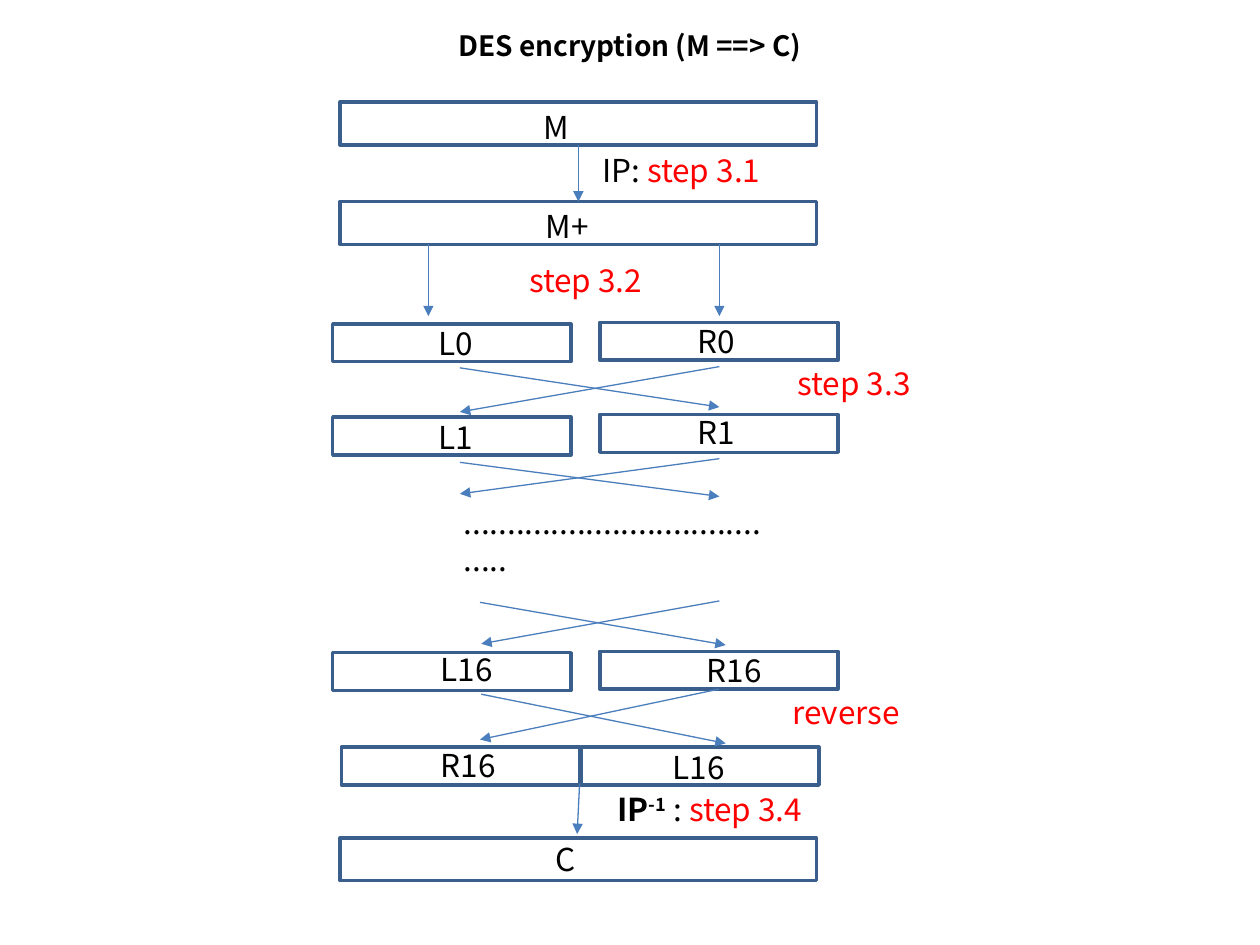
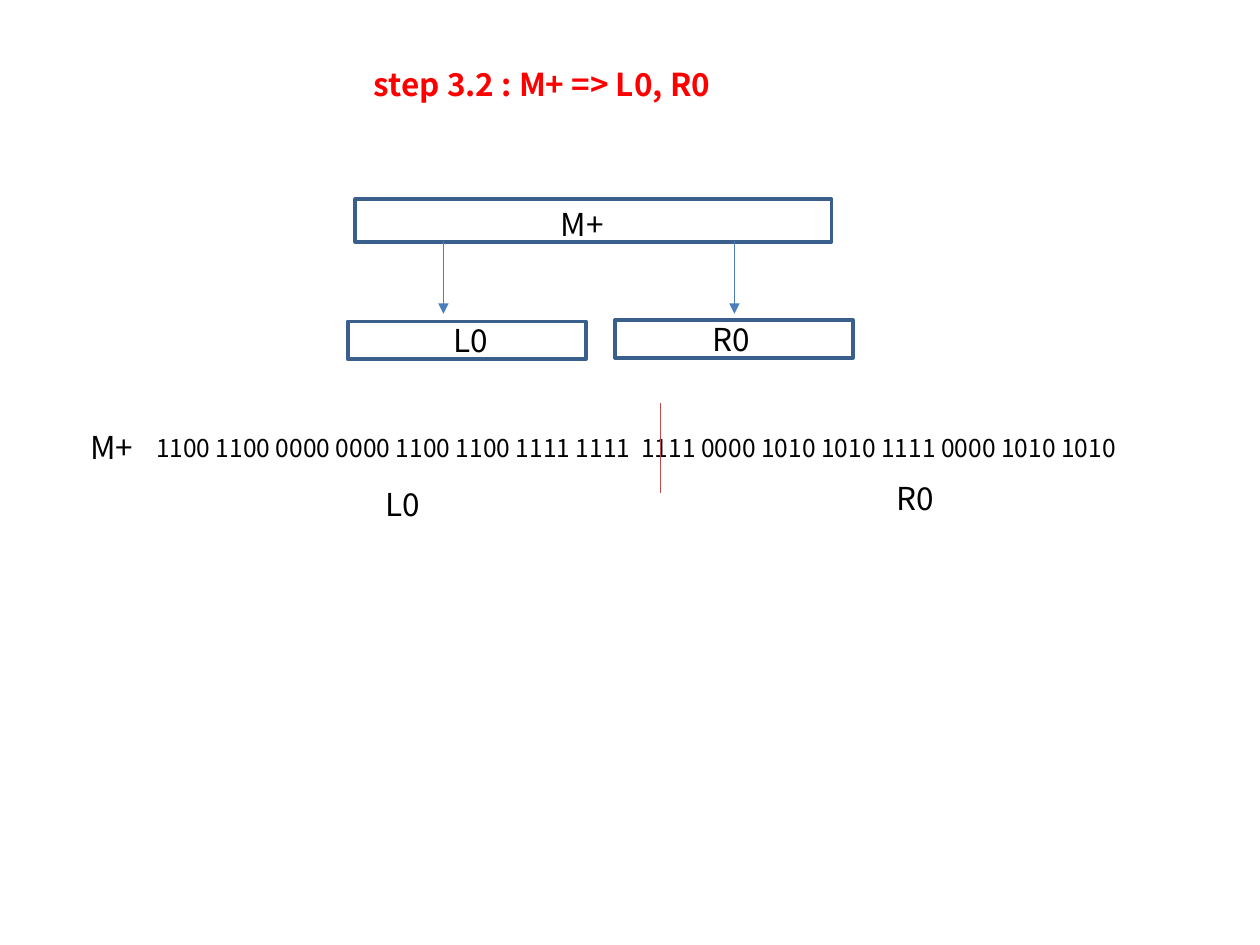
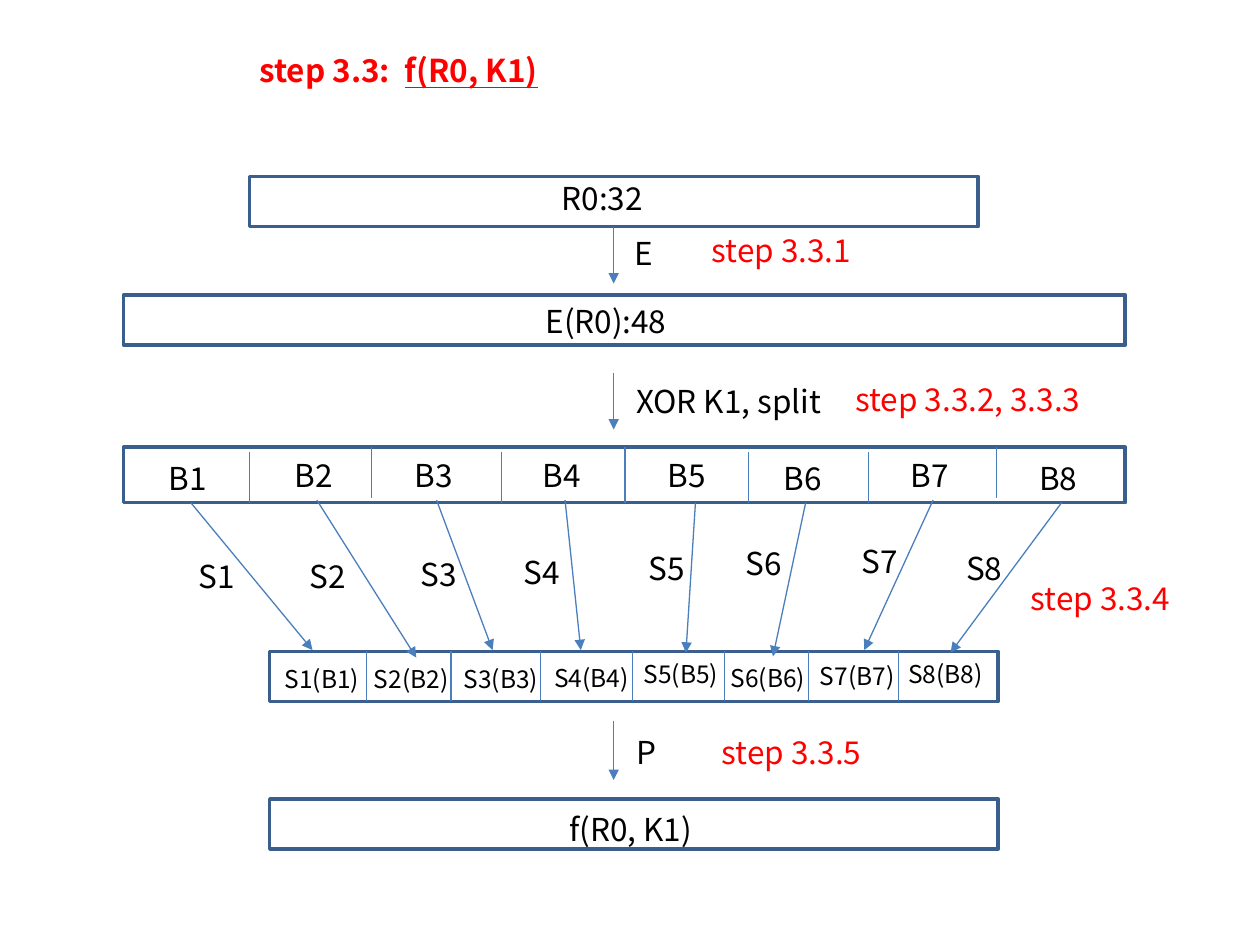
"""Build three slides that explain DES encryption."""
from lxml.etree import SubElement
from pptx import Presentation
from pptx.dml.color import RGBColor
from pptx.enum.shapes import MSO_CONNECTOR, MSO_SHAPE
from pptx.enum.text import MSO_ANCHOR, PP_ALIGN
from pptx.oxml.ns import qn
from pptx.util import Pt

COLORS = {"text": "000000", "step": "FF0000", "border": "3A5F8C",
          "arrow": "4B7EBC", "cut": "BF4C48"}
FONT = "Noto Sans CJK KR"
LABEL_HEIGHT = 28.8
SMALL_HEIGHT = 24.5
WIDE = (272.2, 24.5)
HALF = (136.1, 21.6)
BOTTOM, TOP = 2, 0
STEP = {"color": "step"}
HEADING = {"color": "step", "bold": True}


def color_of(name):
    """Return the named colour."""
    return RGBColor.from_string(COLORS[name])


def add_span(para, text, size, color="text", bold=False, underline=False, baseline=0):
    """Add one formatted run to a paragraph."""
    span = para.add_run()
    span.text = text
    span.font.name = FONT
    span.font.size = Pt(size)
    span.font.bold = bold
    span.font.color.rgb = color_of(color)
    if underline:
        span.font.underline = True
    if baseline:
        span.font._element.set("baseline", str(baseline * 1000))


def add_label(page, left, top, width, *spans, size=18, height=LABEL_HEIGHT):
    """Add a text box; each span is a string or a pair of text and format."""
    label = page.shapes.add_textbox(Pt(left), Pt(top), Pt(width), Pt(height))
    label.text_frame.word_wrap = True
    para = label.text_frame.paragraphs[0]
    for span in spans:
        text, style = (span, {}) if isinstance(span, str) else span
        add_span(para, text, size, **style)
    return label


def add_box(page, left, top, width, height):
    """Add an outlined rectangle without fill."""
    box = page.shapes.add_shape(MSO_SHAPE.RECTANGLE, Pt(left), Pt(top), Pt(width), Pt(height))
    box.shadow.inherit = False
    box.fill.background()
    box.line.color.rgb = color_of("border")
    box.line.width = Pt(2)
    return box


def add_line(page, start, end, color="arrow", arrow=False):
    """Add a straight line, with an arrowhead at its end on request."""
    line = page.shapes.add_connector(MSO_CONNECTOR.STRAIGHT, *map(Pt, start + end))
    line.line.color.rgb = color_of(color)
    line.line.width = Pt(0.75)
    if arrow:
        SubElement(line.line._get_or_add_ln(), qn("a:tailEnd"), type="triangle")
    SubElement(line._element.spPr, qn("a:effectLst"))
    return line


def add_arrow(page, start, end, source=None, target=None):
    """Add an arrow and join it to the boxes whose side middle it meets."""
    arrow = add_line(page, start, end, arrow=True)
    if source is not None and meets(start, source, BOTTOM):
        arrow.begin_connect(source, BOTTOM)
    if target is not None and meets(end, target, TOP):
        arrow.end_connect(target, TOP)


def meets(point, shape, side):
    """Tell whether a point lies within one point of a side's middle."""
    x = shape.left + shape.width / 2
    y = shape.top + (shape.height if side == BOTTOM else 0)
    return abs(Pt(point[0]) - x) <= Pt(1) and abs(Pt(point[1]) - y) <= Pt(1)


def add_split(page, left, top):
    """Draw M+ split into L0 and R0, and return the M+ box."""
    message = add_box(page, left, top, *WIDE)
    add_label(page, left + 110.5, top - 0.4, 53.3, "M+")
    for name, box_x, box_y, text_x, text_y, arrow_x in (
            ("L0", -4.3, 69.9, 49, 66.2, 50.4), ("R0", 148.3, 69.1, 197, 65.5, 216.7)):
        add_box(page, left + box_x, top + box_y, *HALF)
        add_label(page, left + text_x, top + text_y, 38.9, name)
        add_arrow(page, (left + arrow_x, top + 24), (left + arrow_x, top + 65.5))
    return message


def build_overview(page):
    """Draw the whole encryption from M to C."""
    title = add_label(page, 36, 15.1, 648, ("DES encryption (M ==> C)", {"bold": True}),
                      size=16, height=21.6)
    title.text_frame.vertical_anchor = MSO_ANCHOR.MIDDLE
    title.text_frame.paragraphs[0].alignment = PP_ALIGN.CENTER

    plain = add_box(page, 194.4, 58.3, *WIDE)
    add_label(page, 303.8, 58.3, 38.9, "M")
    permuted = add_split(page, 194.4, 115.2)
    add_arrow(page, (330.5, 82.8), (330.5, 115.2), plain, permuted)
    add_box(page, 194.4, 478.8, *WIDE)
    add_label(page, 310.3, 476.6, 38.9, "C")

    halves = {}
    for key, name, left, top, text_left, text_top, text_width in (
            ("left 1", "L1", 190.1, 238.3, 243.4, 235.4, 38.9),
            ("right 1", "R1", 342.7, 236.9, 391.7, 232.6, 38.9),
            ("left 16", "L16", 190.1, 373, 244.8, 367.9, 59.8),
            ("right 16", "R16", 342.7, 372.2, 396.7, 368.6, 59.8),
            ("left swapped", "R16", 195.1, 427, 244.8, 422.6, 59),
            ("right swapped", "L16", 331.9, 427, 377.3, 424.1, 53.3)):
        halves[key] = add_box(page, left, top, *HALF)
        add_label(page, text_left, text_top, text_width, name)

    for start, end in (
            ((262.8, 210.2), (411.1, 232.6)), ((411.1, 209.5), (262.8, 235.4)),
            ((262.8, 264.2), (411.1, 283.7)), ((411.1, 262.1), (262.8, 282.2)),
            ((411.1, 343.4), (275, 367.9)), ((274.3, 344.2), (414.7, 368.6)),
            ((411.1, 394.2), (274.3, 422.6)), ((275, 396.7), (414.7, 424.8)),
            ((331.2, 447.8), (329.8, 476.6))):
        add_arrow(page, start, end, halves["right 16"])

    add_label(page, 257.8, 283.7, 185.8, "." * 39)
    add_label(page, 337, 82.8, 139.7, "IP: ", ("step 3.1", STEP))
    add_label(page, 295.2, 145.4, 87.8, ("step 3.2", STEP))
    add_label(page, 448.6, 204.5, 87.8, ("step 3.3", STEP))
    add_label(page, 445.7, 392.4, 102.2, ("reverse", STEP))
    add_label(page, 345.6, 447.8, 138.2, ("IP", {"bold": True}),
              ("-1", {"bold": True, "baseline": 30}), " :", (" step 3.4", STEP))


def build_split(page):
    """Show how the bits of M+ are cut into L0 and R0."""
    add_label(page, 206.6, 33.8, 289.4, ("step 3.2 : M+ => L0, R0", HEADING))
    add_split(page, 203, 113.8)
    add_label(page, 44.6, 241.2, 67, "M+")
    add_label(page, 82.1, 244.1, 595.4,
              "1100 1100 0000 0000 1100 1100 1111 1111  "
              "1111 0000 1010 1010 1111 0000 1010 1010", size=14, height=SMALL_HEIGHT)
    add_line(page, (377.3, 230.4), (377.3, 281.5), "cut")
    add_label(page, 213.1, 273.6, 38.9, "L0")
    add_label(page, 505.4, 270, 38.9, "R0")


def build_function(page):
    """Draw the round function f with its eight substitutions."""
    add_label(page, 141.1, 25.9, 534.2, ("step 3.3:  ", HEADING),
              ("f(R0, K1)", {**HEADING, "underline": True}))

    right_half = add_box(page, 142.6, 100.8, 416.2, 28.8)
    for left, top, width, height in (
            (70.6, 168.5, 572.4, 28.8), (70.6, 255.6, 572.4, 31.7),
            (154.1, 372.2, 416.2, 28.8), (154.1, 456.5, 416.2, 28.8)):
        add_box(page, left, top, width, height)

    for x, top, bottom in (
            (142.6, 258.5, 287.3), (212.4, 255.6, 284.4), (286.6, 258.5, 287.3),
            (357.1, 255.6, 287.3), (427.7, 258.5, 287.3), (496.1, 258.5, 287.3),
            (569.5, 255.6, 284.4)):
        add_line(page, (x, top), (x, bottom))
    for x in (209.5, 257.8, 308.9, 361.4, 414, 462.2, 513.4):
        add_line(page, (x, 371.8), (x, 400.6))

    columns = (
        ((89.3, 258.5), (106.6, 314.6), (155.5, 375.8), (109.1, 287.3), (178.6, 371.5)),
        ((161.3, 257), (169.9, 314.6), (206.6, 375.8), (181.1, 285.8), (237.6, 375.8)),
        ((229.7, 257), (233.3, 313.9), (257.8, 375.8), (249.5, 285.8), (281.5, 371.5)),
        ((303.1, 257), (292.3, 312.5), (309.6, 375.1), (322.9, 285.8), (331.9, 371.5)),
        ((374.4, 257), (363.6, 310.3), (360.7, 373), (397.4, 287.3), (391.7, 373)),
        ((440.6, 258.5), (419, 307.4), (410.4, 375.1), (460.4, 287.3), (441.4, 375.1)),
        ((513.4, 257), (485.3, 306), (461.5, 374.4), (533.2, 285.8), (493.9, 371.5)),
        ((586.8, 258.5), (545, 310.3), (511.9, 373), (606.6, 287.3), (542.9, 373)))
    for number, (block_at, table_at, result_at, start, end) in enumerate(columns, 1):
        block = add_label(page, *block_at, 39.6, f"B{number}")
        add_label(page, *table_at, 39.6, f"S{number}")
        result = add_label(page, *result_at, 62.6, f"S{number}(B{number})",
                           size=14, height=SMALL_HEIGHT)
        add_arrow(page, start, end, block, result)

    for top, bottom in ((129.9, 162), (213.1, 245.5), (411.8, 445.7)):
        add_arrow(page, (350.7, top), (350.7, bottom), right_half)
    for left, top, width, text in (
            (313.9, 98.6, 73.4, "R0:32"), (304.6, 169.2, 99.4, "E(R0):48"),
            (318.2, 459.4, 92, "f(R0, K1)"), (355.7, 130.3, 27.4, "E"),
            (356.4, 214.6, 125.3, "XOR K1, split"), (356.4, 415.4, 23.8, "P")):
        add_label(page, left, top, width, text)
    for left, top, width, steps in (
            (399.6, 128.2, 113.8, "3.3.1"), (481.7, 213.8, 147.6, "3.3.2, 3.3.3"),
            (581.8, 327.6, 113.8, "3.3.4"), (405.4, 415.4, 113.8, "3.3.5")):
        add_label(page, left, top, width, (f"step {steps}", STEP))


def main():
    """Build and save the deck."""
    deck = Presentation()
    deck.slide_width, deck.slide_height = Pt(720), Pt(540)
    for build in (build_overview, build_split, build_function):
        build(deck.slides.add_slide(deck.slide_layouts[6]))
    deck.save("out.pptx")


if __name__ == "__main__":
    main()
